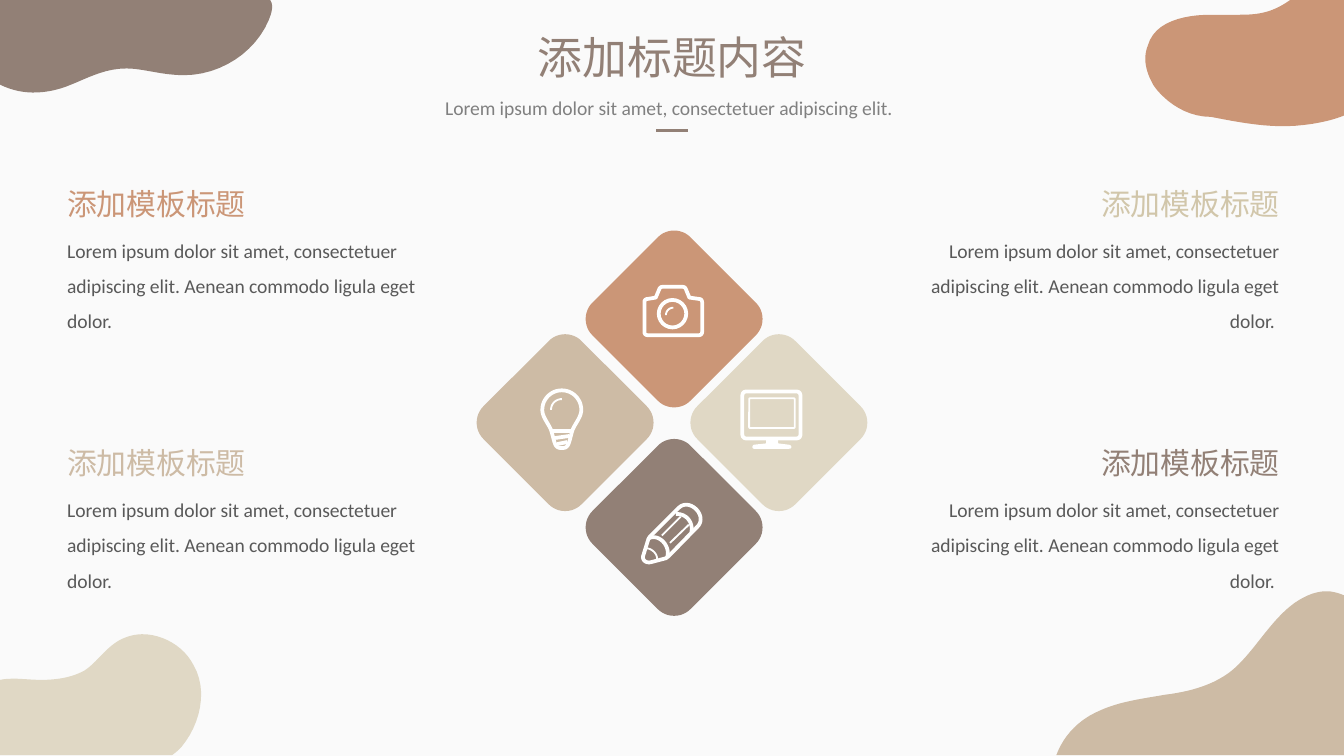
from dataclasses import dataclass

import lxml.etree
import pptx
import pptx.dml.color
import pptx.enum.shapes
import pptx.enum.text
import pptx.oxml.ns
import pptx.util

Cm = pptx.util.Cm
Pt = pptx.util.Pt
RGBColor = pptx.dml.color.RGBColor
Preset = pptx.enum.shapes.MSO_SHAPE
Align = pptx.enum.text.PP_ALIGN

BACKGROUND = RGBColor(0xFA, 0xFA, 0xFA)
WHITE = RGBColor(0xFF, 0xFF, 0xFF)
BROWN = RGBColor(0x92, 0x80, 0x76)
TERRACOTTA = RGBColor(0xCB, 0x96, 0x77)
TAN = RGBColor(0xCD, 0xBB, 0xA5)
CREAM = RGBColor(0xE0, 0xD8, 0xC5)
SAND = RGBColor(0xD1, 0xC6, 0xAA)
GREY = RGBColor(0x80, 0x80, 0x80)
DARK_GREY = RGBColor(0x59, 0x59, 0x59)

CHINESE_FONT = "Noto Sans CJK SC"
LATIN_FONT = "Calibri"
BODY = ("Lorem ipsum dolor sit amet, consectetuer adipiscing elit. "
        "Aenean commodo ligula eget dolor.")
OUTLINE_UNIT = Cm(2.54) / 100  # outlines are given in hundredths of an inch
CURVE_STEPS = 12
THICK, THIN = 2, 1


@dataclass
class Outline:
    """Each segment is a line end (x, y) or a cubic curve (x1, y1, x2, y2, x, y)."""
    start: tuple
    segments: list
    fill: RGBColor | None = None
    stroke: float = 0


@dataclass
class Box:
    preset: Preset
    left: float
    top: float
    width: float
    height: float
    fill: RGBColor | None = None
    stroke: float = 0
    corner: float | None = None
    rotation: float = 0


@dataclass
class Caption:
    color: RGBColor
    column: int
    row: int


BLOBS = [
    Outline((987, 440), [(991, 440, 995, 441, 1000, 443), (1000, 562), (786, 562),
                         (792, 546, 804, 535, 818, 529), (833, 522, 850, 520, 867, 517),
                         (883, 515, 900, 511, 914, 501), (925, 493, 934, 480, 943, 469),
                         (952, 458, 962, 447, 976, 442), (979, 441, 983, 440, 987, 440)], TAN),
    Outline((0, 0), [(201, 0), (204, 4, 202, 10, 200, 15), (190, 39, 164, 56, 137, 56),
                     (120, 56, 107, 51, 94, 51), (73, 51, 58, 63, 41, 67),
                     (28, 70, 14, 70, 0, 63)], BROWN),
    Outline((106, 472), [(121, 472, 137, 481, 144, 495), (155, 514, 149, 539, 135, 556),
                         (133, 558, 131, 560, 128, 562), (0, 562), (0, 506),
                         (10, 504, 20, 506, 31, 506), (43, 506, 54, 504, 63, 499),
                         (72, 493, 78, 483, 88, 477), (93, 474, 100, 472, 106, 472)], CREAM),
    Outline((960, 0), [(1000, 0), (1000, 86), (990, 90, 979, 92, 970, 93),
                       (946, 96, 922, 91, 901, 87), (879, 87, 863, 71, 858, 63),
                       (853, 54, 850, 44, 854, 34), (859, 16, 881, 11, 901, 11),
                       (908, 11, 915, 11, 922, 11), (935, 11, 946, 10, 960, 0)], TERRACOTTA),
]

DIAMONDS = [
    Box(Preset.ROUNDED_RECTANGLE, left, top, 2.62, 2.62, color, rotation=45)
    for left, top, color in [(11.43, 4.72, TERRACOTTA), (13.41, 6.68, CREAM),
                             (9.37, 6.68, TAN), (11.43, 8.66, BROWN)]
]

CAMERA = [
    Outline((482, 249.5), [(520, 249.5), (521.5, 249.5, 522.5, 248.5, 522.5, 247), (522.5, 225),
                           (522.5, 223.5, 521.5, 222.5, 520, 222.5), (513, 221.5),
                           (510.5, 215.5), (510, 214, 509, 213.5, 508, 213.5), (493, 213.5),
                           (492, 213.5, 491, 214, 490.5, 215.5), (488, 221.5), (482, 222.5),
                           (480.5, 222.5, 479.5, 223.5, 479.5, 225), (479.5, 247),
                           (479.5, 248.5, 480.5, 249.5, 482, 249.5)], stroke=THICK),
    Box(Preset.OVAL, 12.45, 5.67, 0.52, 0.52, stroke=THICK),
    Outline((495.5, 234.5), [(495.5, 231.5, 498, 229, 501, 229)], stroke=THIN),
]
MONITOR = [
    Box(Preset.ROUNDED_RECTANGLE, 14.03, 7.4, 1.1, 0.89, stroke=THICK, corner=0.08),
    Box(Preset.ROUNDED_RECTANGLE, 14.16, 7.53, 0.86, 0.56, stroke=THIN, corner=0.03),
    Outline((570, 327), [(579, 327), (579, 330), (587, 331), (589.5, 331.5, 589.5, 334, 587, 334),
                         (561, 334), (559.5, 334, 559.5, 331.5, 561, 331), (570, 330)], WHITE),
]
BULB = [
    Outline((418, 290.5), [(426, 290.5, 432.5, 297, 432.5, 305),
                           (432.5, 311, 427, 316, 425.5, 321.5),
                           (423, 331, 423, 333.5, 418, 333.5),
                           (413, 333.5, 413, 331, 410.5, 321.5),
                           (409, 316, 403.5, 311, 403.5, 305),
                           (403.5, 297, 410, 290.5, 418, 290.5)], stroke=THICK),
    Outline((410.5, 320.5), [(425.5, 320.5)], stroke=THICK),
    Outline((413, 326), [(423.5, 324.5)], stroke=THICK),
    Outline((414.5, 330.5), [(422, 329)], stroke=THICK),
    Outline((410, 305), [(410, 300.5, 413.5, 297, 418, 297)], stroke=THIN),
]
PENCIL = [
    Outline((478.5, 414), [(482.5, 401), (483.5, 399.5), (505, 378),
                           (508.5, 374.5, 514, 375, 518, 379),
                           (522, 383, 522.5, 388.5, 519, 392), (497.5, 414), (495.5, 415.5),
                           (484, 418.5), (480.5, 419, 478, 417, 478.5, 414)], stroke=THICK),
    Outline((503, 382.5), [(510, 382, 516, 388, 514.5, 396)], stroke=THICK),
    Outline((483, 400.5), [(490, 397, 499, 406, 496.5, 414.5)], stroke=THICK),
    Outline((492.5, 398.5), [(506.5, 384.5)], stroke=THIN),
    Outline((498.5, 404), [(512.5, 390.5)], stroke=THIN),
    Outline((480.5, 408), [(485, 408, 489, 412, 489, 416)], stroke=THIN),
]

CAPTIONS = [Caption(TERRACOTTA, 0, 0), Caption(TAN, 0, 1),
            Caption(SAND, 1, 0), Caption(BROWN, 1, 1)]


def curve_points(start: tuple, curve: tuple) -> list:
    """Sample a cubic curve into short straight steps."""
    controls = [start, curve[:2], curve[2:4], curve[4:]]
    points = []
    for step in range(1, CURVE_STEPS + 1):
        t = step / CURVE_STEPS
        weights = ((1 - t) ** 3, 3 * t * (1 - t) ** 2, 3 * t * t * (1 - t), t ** 3)
        points.append(tuple(sum(w * c[axis] for w, c in zip(weights, controls))
                            for axis in (0, 1)))
    return points


def paint(shape, fill: RGBColor | None, stroke: float) -> None:
    shape.shadow.inherit = False
    if fill is None:
        shape.fill.background()
    else:
        shape.fill.solid()
        shape.fill.fore_color.rgb = fill
    if stroke:
        shape.line.color.rgb = WHITE
        shape.line.width = Pt(stroke)
    else:
        shape.line.fill.background()


def draw_outline(slide, outline: Outline) -> None:
    points = [outline.start]
    for segment in outline.segments:
        points += [segment] if len(segment) == 2 else curve_points(points[-1], segment)
    scaled = [(x * OUTLINE_UNIT, y * OUTLINE_UNIT) for x, y in points]
    builder = slide.shapes.build_freeform(*scaled[0])
    builder.add_line_segments(scaled[1:], close=outline.fill is not None)
    paint(builder.convert_to_shape(), outline.fill, outline.stroke)


def draw_box(slide, box: Box) -> None:
    shape = slide.shapes.add_shape(box.preset, Cm(box.left), Cm(box.top),
                                   Cm(box.width), Cm(box.height))
    shape.rotation = box.rotation
    if box.corner is not None:
        shape.adjustments[0] = box.corner
    paint(shape, box.fill, box.stroke)


def write(shape, text: str, font_name: str, size: float, color: RGBColor,
          align: Align, wrap: bool = True, spacing: float = 1.0) -> None:
    frame = shape.text_frame
    frame.word_wrap = wrap
    frame.auto_size = pptx.enum.text.MSO_AUTO_SIZE.NONE
    frame.vertical_anchor = pptx.enum.text.MSO_ANCHOR.TOP
    paragraph = frame.paragraphs[0]
    paragraph.text = text
    paragraph.alignment = align
    paragraph.line_spacing = spacing
    paragraph.space_before = Pt(0)
    font = paragraph.font
    font.name, font.size, font.color.rgb = font_name, Pt(size), color
    properties = paragraph._p.pPr.find(pptx.oxml.ns.qn("a:defRPr"))
    lxml.etree.SubElement(properties, pptx.oxml.ns.qn("a:ea"), typeface=font_name)


def draw_caption(slide, caption: Caption) -> None:
    on_right = caption.column == 1
    align = Align.RIGHT if on_right else Align.LEFT
    top = 3.38 + 4.9 * caption.row
    body = slide.shapes.add_textbox(Cm(16.81 if on_right else 1.02), Cm(top + 0.79),
                                    Cm(7.62), Cm(2.21))
    write(body, BODY + " " if on_right else BODY, LATIN_FONT, 10.5, DARK_GREY, align, spacing=1.5)
    heading = slide.shapes.add_textbox(Cm(20.5 if on_right else 1.02), Cm(top), Cm(3.94), Cm(0.94))
    write(heading, "添加模板标题", CHINESE_FONT, 16, caption.color, align, wrap=False)


def draw_header(slide) -> None:
    title = slide.shapes.title
    title.left, title.top, title.width, title.height = Cm(9.88), Cm(0.43), Cm(5.64), Cm(1.27)
    write(title, "添加标题内容", CHINESE_FONT, 24, BROWN, Align.CENTER, wrap=False)
    subtitle = slide.shapes.add_textbox(Cm(7.62), Cm(1.47), Cm(10.13), Cm(0.86))
    write(subtitle, "Lorem ipsum dolor sit amet, consectetuer adipiscing elit. ",
          LATIN_FONT, 10.5, GREY, Align.CENTER, spacing=1.5)
    rule = slide.shapes.add_connector(pptx.enum.shapes.MSO_CONNECTOR.STRAIGHT,
                                      Cm(12.4), Cm(2.46), Cm(13), Cm(2.46))
    rule.line.color.rgb = BROWN
    rule.line.width = Pt(1.5)
    lxml.etree.SubElement(rule._element.spPr, pptx.oxml.ns.qn("a:effectLst"))


def main() -> None:
    presentation = pptx.Presentation()
    presentation.slide_width, presentation.slide_height = Cm(25.4), Cm(14.29)
    slide = presentation.slides.add_slide(presentation.slide_layouts[5])
    slide.background.fill.solid()
    slide.background.fill.fore_color.rgb = BACKGROUND
    for blob in BLOBS:
        draw_outline(slide, blob)
    draw_header(slide)
    for part in DIAMONDS + MONITOR + PENCIL + BULB + CAMERA:
        if isinstance(part, Box):
            draw_box(slide, part)
        else:
            draw_outline(slide, part)
    for caption in CAPTIONS:
        draw_caption(slide, caption)
    presentation.save("out.pptx")


if __name__ == "__main__":
    main()
